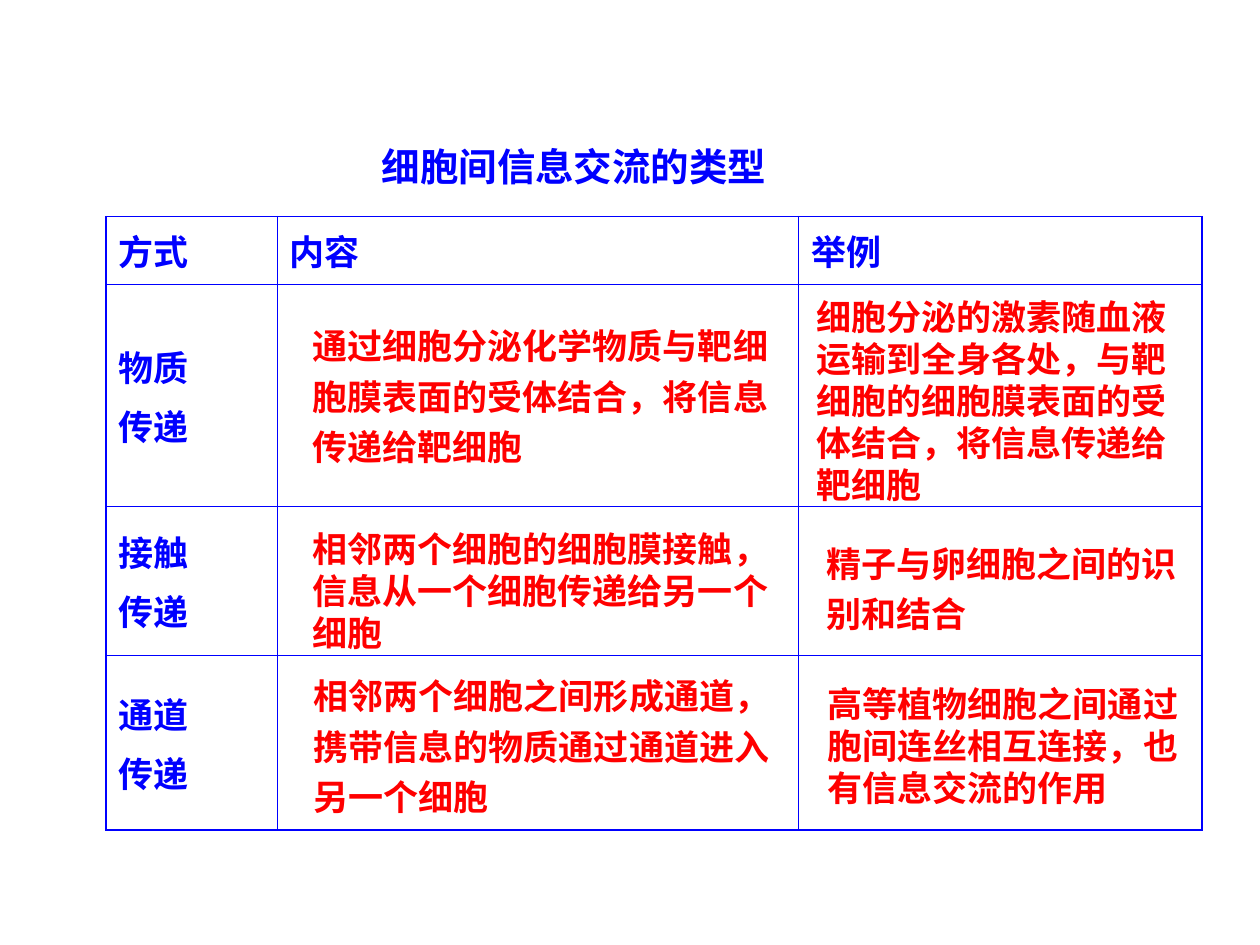
from pptx import Presentation
from pptx.dml.color import RGBColor
from pptx.enum import text
from pptx.oxml import parse_xml
from pptx.oxml.ns import nsdecls, qn
from pptx.util import Pt

COLORS = {"heading": "0000FF", "answer": "FF0000", "grid": "0000FF"}
FONT = "Noto Sans CJK SC"
OUTER, INNER = 1.08, 0.75

COLUMNS = [98, 298, 230.4]
ROWS = [38.9, 126.7, 85, 100.1]
CELLS = [
    [["方式"], ["内容"], ["举例"]],
    [["物质", "传递"], [], []],
    [["接触", "传递"], [], []],
    [["通道", "传递"], [], []],
]

# left, top, width, space between paragraphs, lines
ANSWERS = [
    (171.4, 179.3, 275, 5,
     ["通过细胞分泌化学物质与靶细", "胞膜表面的受体结合，将信息", "传递给靶细胞"]),
    (459.4, 162.7, 214.6, 0,
     ["细胞分泌的激素随血液", "运输到全身各处，与靶", "细胞的细胞膜表面的受",
      "体结合，将信息传递给", "靶细胞"]),
    (171.4, 295.2, 275, 0,
     ["相邻两个细胞的细胞膜接触，", "信息从一个细胞传递给另一个", "细胞"]),
    (465.1, 303.8, 214.6, 5, ["精子与卵细胞之间的识", "别和结合"]),
    (172.1, 379.4, 275, 5,
     ["相邻两个细胞之间形成通道，", "携带信息的物质通过通道进入", "另一个细胞"]),
    (465.8, 383.8, 214.6, 0,
     ["高等植物细胞之间通过", "胞间连丝相互连接，也", "有信息交流的作用"]),
]


class SlideBuilder:
    """Holds the style and the current slide."""

    line_height = 24
    padding = 3.6

    def __init__(self, page):
        self.page = page

    def add_lines(self, frame, lines, color, size=20, gap=0, line_height=None):
        for index, line in enumerate(lines):
            para = frame.add_paragraph() if index else frame.paragraphs[0]
            para.text = line
            para.alignment = text.PP_ALIGN.LEFT
            if index and gap:
                para.space_before = Pt(gap)
            if line_height:
                para.line_spacing = Pt(line_height)
            font = para.font
            font.name, font.size, font.bold = FONT, Pt(size), True
            font.color.rgb = RGBColor.from_string(COLORS[color])
            defaults = para._p.pPr.find(qn("a:defRPr"))
            defaults.append(parse_xml(f'<a:ea {nsdecls("a")} typeface="{FONT}"/>'))

    def title(self, left, top, width, height, line):
        box = self.page.shapes.title
        box.left, box.top, box.width, box.height = map(Pt, (left, top, width, height))
        frame = box.text_frame
        frame.auto_size = text.MSO_AUTO_SIZE.NONE
        frame.vertical_anchor = text.MSO_ANCHOR.MIDDLE
        self.add_lines(frame, [line], "heading", size=22)

    def answer(self, left, top, width, gap, lines):
        height = (len(lines) * self.line_height + (len(lines) - 1) * gap
                  + 2 * self.padding)
        box = self.page.shapes.add_textbox(*map(Pt, (left, top, width, height)))
        frame = box.text_frame
        frame.word_wrap = False
        # Exact line spacing trims the first line from above; the inset restores it.
        frame.margin_top = Pt(6)
        self.add_lines(frame, lines, "answer", gap=gap, line_height=self.line_height)

    def border(self, cell, widths):
        """Draw cell borders; widths are left, right, top, bottom."""
        properties = cell._tc.get_or_add_tcPr()
        for index, (side, width) in enumerate(zip("LRTB", widths)):
            properties.insert(index, parse_xml(
                f'<a:ln{side} {nsdecls("a")} w="{int(Pt(width))}"><a:solidFill>'
                f'<a:srgbClr val="{COLORS["grid"]}"/></a:solidFill></a:ln{side}>'))

    def table(self, left, top, columns, rows, cells):
        area = map(Pt, (left, top, sum(columns), sum(rows)))
        table = self.page.shapes.add_table(len(rows), len(columns), *area).table
        table.first_row = table.horz_banding = False
        for column, width in zip(table.columns, columns):
            column.width = Pt(width)
        for r, height in enumerate(rows):
            table.rows[r].height = Pt(height)
            for c, lines in enumerate(cells[r]):
                cell = table.cell(r, c)
                cell.fill.background()
                cell.vertical_anchor = text.MSO_ANCHOR.MIDDLE
                edges = (c == 0, c == len(columns) - 1, r == 0, r == len(rows) - 1)
                self.border(cell, [OUTER if edge else INNER for edge in edges])
                self.add_lines(cell.text_frame, lines, "heading", gap=5)


def main():
    deck = Presentation()
    deck.slide_width, deck.slide_height = Pt(720), Pt(540)
    builder = SlideBuilder(deck.slides.add_slide(deck.slide_layouts[5]))
    builder.title(211, 77.8, 260.6, 33.8, "细胞间信息交流的类型")
    builder.table(60.5, 123.8, COLUMNS, ROWS, CELLS)
    for answer in ANSWERS:
        builder.answer(*answer)
    deck.save("out.pptx")


if __name__ == "__main__":
    main()
